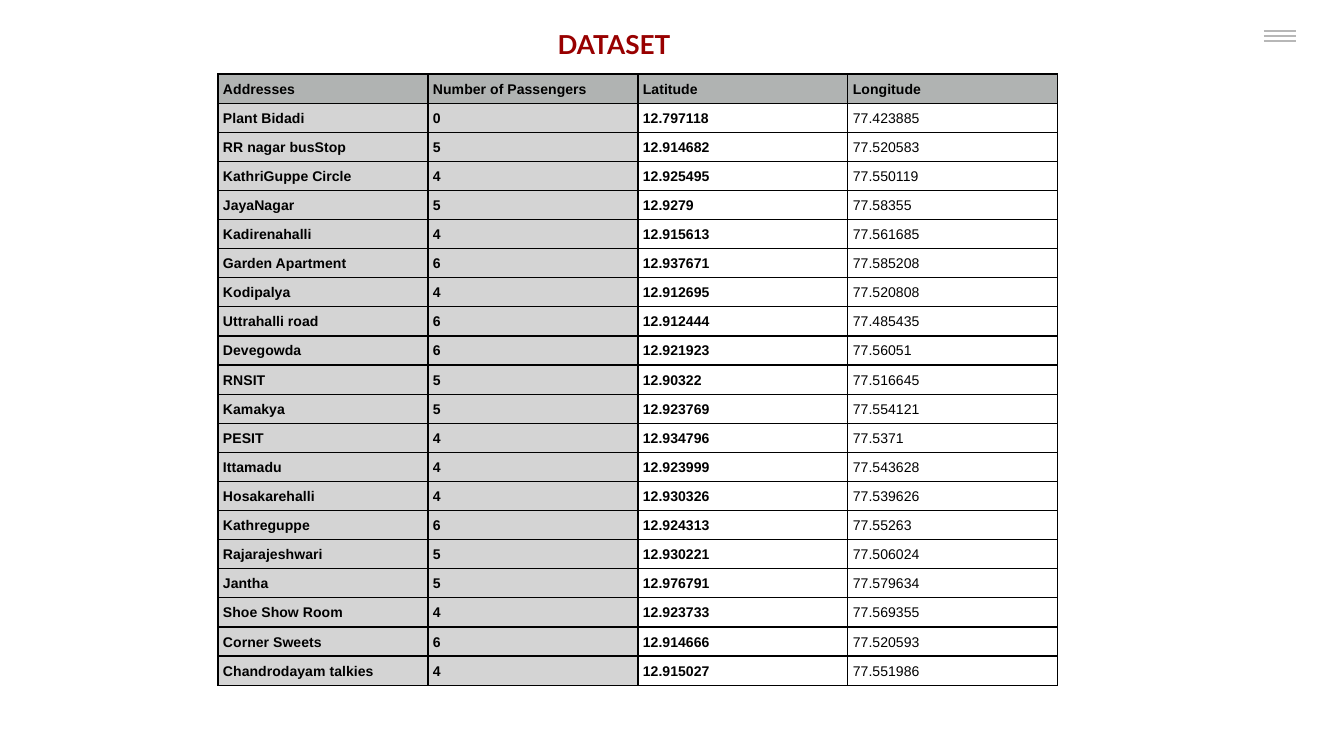
import pptx
import pptx.util
import pptx.dml.color
import pptx.enum.shapes
import pptx.enum.text
from lxml import etree

EMU_PER_PX = 914400 / 134.4
NAMESPACE = "{http://schemas.openxmlformats.org/drawingml/2006/main}"

BLACK = pptx.dml.color.RGBColor(0x00, 0x00, 0x00)
DARK_RED = pptx.dml.color.RGBColor(0x98, 0x00, 0x00)
MENU_GRAY = pptx.dml.color.RGBColor(0xB7, 0xB7, 0xB7)
HEADER_GRAY = pptx.dml.color.RGBColor(0xB0, 0xB3, 0xB2)
LABEL_GRAY = pptx.dml.color.RGBColor(0xD4, 0xD4, 0xD4)

HEADERS = ("Addresses", "Number of Passengers", "Latitude", "Longitude")
STOPS = (
    ("Plant Bidadi", "0", "12.797118", "77.423885"),
    ("RR nagar busStop", "5", "12.914682", "77.520583"),
    ("KathriGuppe Circle", "4", "12.925495", "77.550119"),
    ("JayaNagar", "5", "12.9279", "77.58355"),
    ("Kadirenahalli", "4", "12.915613", "77.561685"),
    ("Garden Apartment", "6", "12.937671", "77.585208"),
    ("Kodipalya", "4", "12.912695", "77.520808"),
    ("Uttrahalli road", "6", "12.912444", "77.485435"),
    ("Devegowda", "6", "12.921923", "77.56051"),
    ("RNSIT", "5", "12.90322", "77.516645"),
    ("Kamakya", "5", "12.923769", "77.554121"),
    ("PESIT", "4", "12.934796", "77.5371"),
    ("Ittamadu", "4", "12.923999", "77.543628"),
    ("Hosakarehalli", "4", "12.930326", "77.539626"),
    ("Kathreguppe", "6", "12.924313", "77.55263"),
    ("Rajarajeshwari", "5", "12.930221", "77.506024"),
    ("Jantha", "5", "12.976791", "77.579634"),
    ("Shoe Show Room", "4", "12.923733", "77.569355"),
    ("Corner Sweets", "6", "12.914666", "77.520593"),
    ("Chandrodayam talkies", "4", "12.915027", "77.551986"),
)


def px(length):
    return pptx.util.Emu(round(length * EMU_PER_PX))


def set_font(paragraph, name, size, color, bold):
    paragraph.font.name = name
    paragraph.font.size = pptx.util.Pt(size)
    paragraph.font.color.rgb = color
    paragraph.font.bold = bold


def add_menu_line(slide, left, right, y):
    line = slide.shapes.add_connector(
        pptx.enum.shapes.MSO_CONNECTOR.STRAIGHT, px(left), px(y), px(right), px(y))
    line.line.color.rgb = MENU_GRAY
    line.line.width = pptx.util.Pt(0.75)
    etree.SubElement(line._element.spPr, NAMESPACE + "effectLst")


def add_title(slide, text, left, top, width, height):
    shape = slide.shapes.add_textbox(px(left), px(top), px(width), px(height))
    frame = shape.text_frame
    frame.word_wrap = True
    frame.margin_left = frame.margin_right = px(13)
    frame.margin_top = frame.margin_bottom = px(13)
    paragraph = frame.paragraphs[0]
    paragraph.text = text
    paragraph.alignment = pptx.enum.text.PP_ALIGN.CENTER
    set_font(paragraph, "Lato", 14, DARK_RED, True)


def set_borders(cell):
    properties = cell._tc.get_or_add_tcPr()
    for position, side in enumerate(("lnL", "lnR", "lnT", "lnB")):
        border = etree.Element(NAMESPACE + side, w=str(pptx.util.Pt(0.75)))
        fill = etree.SubElement(border, NAMESPACE + "solidFill")
        etree.SubElement(fill, NAMESPACE + "srgbClr", val=str(BLACK))
        properties.insert(position, border)


def fill_cell(cell, text, color, bold):
    cell.margin_left = cell.margin_right = px(5)
    cell.margin_top = cell.margin_bottom = px(5)
    if color is None:
        cell.fill.background()
    else:
        cell.fill.solid()
        cell.fill.fore_color.rgb = color
    set_borders(cell)
    paragraph = cell.text_frame.paragraphs[0]
    paragraph.text = text
    paragraph.line_spacing = 1.15
    set_font(paragraph, "Arial", 7.5, BLACK, bold)


def add_stop_table(slide, left, top, width, height):
    rows = (HEADERS,) + STOPS
    table = slide.shapes.add_table(
        len(rows), len(HEADERS), px(left), px(top), px(width), px(height)).table
    table.first_row = False
    table.horz_banding = False
    for row_index, row in enumerate(rows):
        is_header = row_index == 0
        for column_index, text in enumerate(row):
            if is_header:
                color = HEADER_GRAY
            else:
                color = LABEL_GRAY if column_index < 2 else None
            bold = is_header or column_index < 3
            fill_cell(table.cell(row_index, column_index), text, color, bold)


def main():
    presentation = pptx.Presentation()
    presentation.slide_width = px(1344)
    presentation.slide_height = px(756)
    slide = presentation.slides.add_slide(presentation.slide_layouts[6])
    for y in (31, 36, 41):
        add_menu_line(slide, 1264, 1296, y)
    add_stop_table(slide, 218, 74, 840, 612)
    add_title(slide, "DATASET", 282, 15, 664, 40)
    presentation.save("out.pptx")


if __name__ == "__main__":
    main()
